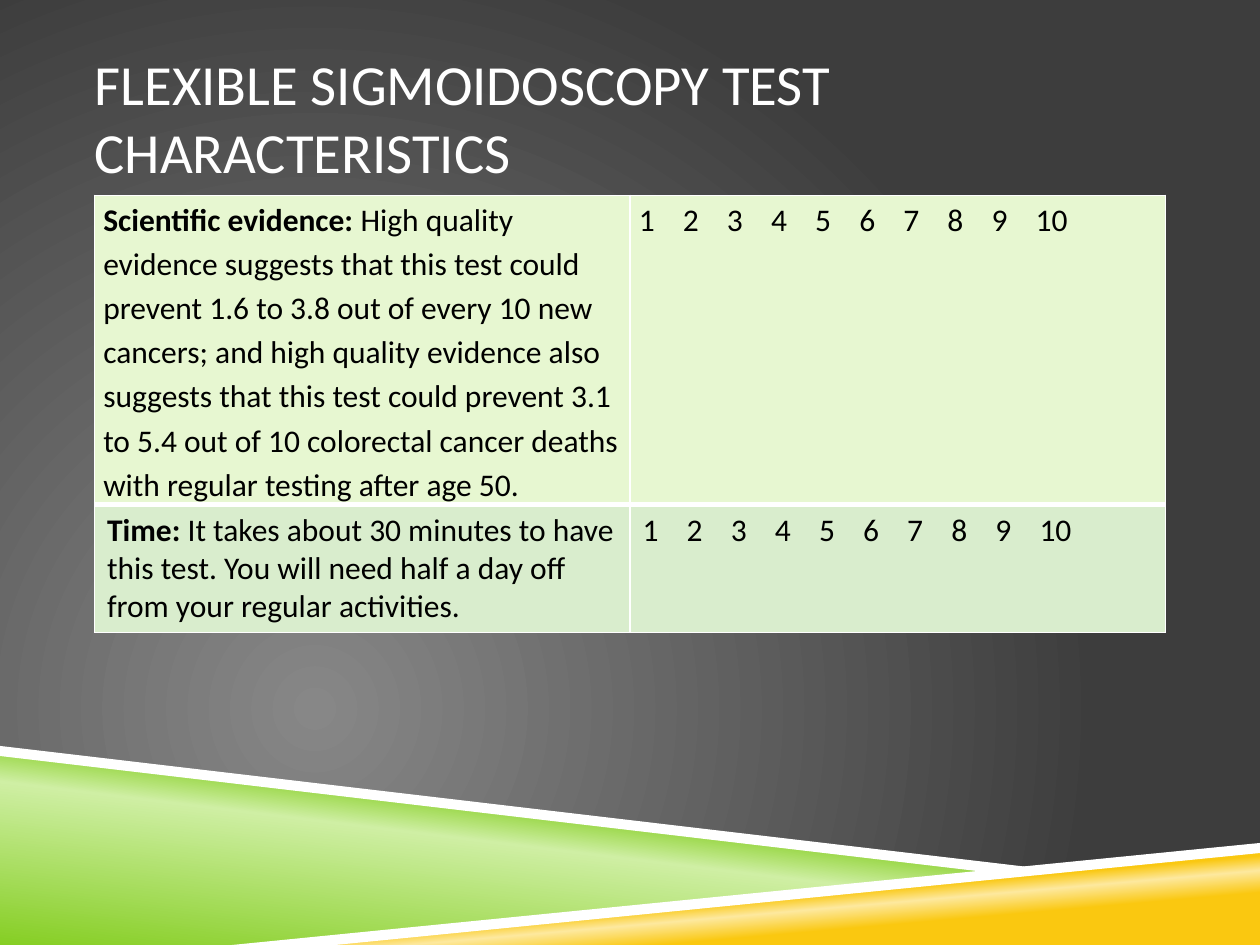
from pptx import Presentation
from pptx.dml.color import RGBColor
from pptx.enum.text import MSO_ANCHOR, PP_ALIGN
from pptx.oxml import parse_xml
from pptx.oxml.ns import nsdecls, qn
from pptx.util import Inches, Pt

MIDDLE = MSO_ANCHOR.MIDDLE
LEFT = PP_ALIGN.LEFT
FONT = "Calibri"
NS = nsdecls("a")
HEX = {
    "white": "FFFFFF", "black": "000000",
    "gray": "878787", "dark": "3D3D3D",
    "gold": "FAC810", "cream": "FDE99F",
    "green": "86CE24", "lime": "CFEFA4",
    "pale": "E7F7D1", "mint": "D9EDCD",
}


def shade(props, stops, course):
    marks = "".join(
        f'<a:gs pos="{pos * 1000}"><a:srgbClr val="{HEX[name]}"/></a:gs>'
        for pos, name in stops)
    grad = parse_xml(f'<a:gradFill {NS} rotWithShape="1">'
                     f'<a:gsLst>{marks}</a:gsLst>{course}</a:gradFill>')
    props.replace(props.find(qn("a:solidFill")), grad)


def style(run, size, color, bold=False):
    run.font.name = FONT
    run.font.size = Pt(size)
    run.font.bold = bold
    run.font.color.rgb = RGBColor.from_string(HEX[color])


prs = Presentation()
prs.slide_width, prs.slide_height = Inches(10), Inches(7.5)
slide = prs.slides.add_slide(prs.slide_layouts[5])

slide.background.fill.solid()
slide.background.fill.fore_color.rgb = RGBColor.from_string(HEX["dark"])
shade(slide.element.xpath(".//p:bgPr")[0], [(0, "gray"), (100, "dark")],
      '<a:path path="circle"><a:fillToRect l="50000" t="100000" '
      'r="100000" b="50000"/></a:path>')

bands = [
    ("gold", [(1.98, 7.5), (10, 6.72), (10, 7.5)],
     [(28, "gold"), (40, "cream"), (48, "gold")], 265),
    ("green", [(0, 5.97), (7.92, 6.92), (2, 7.5), (0, 7.5)],
     [(0, "green"), (52, "lime"), (66, "green")], 277),
    ("white", [(0, 5.92), (0, 6), (7.9, 6.93), (8.32, 6.9)], None, 0),
    ("white", [(10, 6.69), (1.84, 7.5), (2.66, 7.5), (10, 6.77)], None, 0),
]
for color, spots, stops, angle in bands:
    spots = [(Inches(x), Inches(y)) for x, y in spots]
    pen = slide.shapes.build_freeform(*spots[0])
    pen.add_line_segments(spots[1:], close=True)
    band = pen.convert_to_shape()
    band.shadow.inherit = False
    band.line.fill.background()
    band.fill.solid()
    band.fill.fore_color.rgb = RGBColor.from_string(HEX[color])
    if stops:
        shade(band.element.spPr, stops,
              f'<a:lin ang="{angle * 60000}" scaled="0"/>')

title = slide.shapes.title
title.left, title.top = Inches(0.75), Inches(0.3)
title.width, title.height = Inches(8.5), Inches(1.25)
frame = title.text_frame
frame.text = "FLEXIBLE SIGMOIDOSCOPY TEST CHARACTERISTICS"
frame.vertical_anchor = MIDDLE
frame.word_wrap = True
frame.margin_left = frame.margin_right = 0
frame.paragraphs[0].alignment = LEFT
style(frame.paragraphs[0].runs[0], 32.4, "white")

scale = "\t".join(str(n) for n in range(1, 11))
rows = [
    ("Scientific evidence:",
     " High quality evidence suggests that this test could prevent 1.6 to 3.8 "
     "out of every 10 new cancers; and high quality evidence also suggests "
     "that this test could prevent 3.1 to 5.4 out of 10 colorectal cancer "
     "deaths with regular testing after age 50.",
     "pale", 2.45, 1.15, 0.07, 0, {"L": 1, "R": 1, "T": 1, "B": 3}),
    ("Time:",
     " It takes about 30 minutes to have this test. You will need half a day "
     "off from your regular activities.",
     "mint", 1.01, 1.0, 0.1, 0.05, {"L": 1, "R": 1, "T": 3, "B": 1}),
]
table = slide.shapes.add_table(2, 2, Inches(0.75), Inches(1.55),
                               Inches(8.5), Inches(3.46)).table
table.first_row = table.horz_banding = False
for row, (head, body, color, high, lead, side, edge, lines) in enumerate(rows):
    table.rows[row].height = Inches(high)
    for col, parts in enumerate([[(head, True), (body, False)],
                                 [(scale, False)]]):
        cell = table.cell(row, col)
        cell.margin_left = cell.margin_right = Inches(side)
        cell.margin_top = cell.margin_bottom = Inches(edge)
        props = cell._tc.get_or_add_tcPr()
        for key, wide in lines.items():
            props.append(parse_xml(
                f'<a:ln{key} {NS} w="{Pt(wide)}"><a:solidFill>'
                f'<a:srgbClr val="{HEX["white"]}"/></a:solidFill></a:ln{key}>'))
        cell.fill.solid()
        cell.fill.fore_color.rgb = RGBColor.from_string(HEX[color])
        para = cell.text_frame.paragraphs[0]
        if col == 1:
            tabs = "".join(f'<a:tab pos="{Inches(0.35 * n)}" algn="l"/>'
                           for n in range(1, 10))
            para._p.get_or_add_pPr().append(
                parse_xml(f'<a:tabLst {NS}>{tabs}</a:tabLst>'))
        para.line_spacing = lead
        for text, bold in parts:
            run = para.add_run()
            run.text = text
            style(run, 18, "black", bold)

prs.save("out.pptx")
